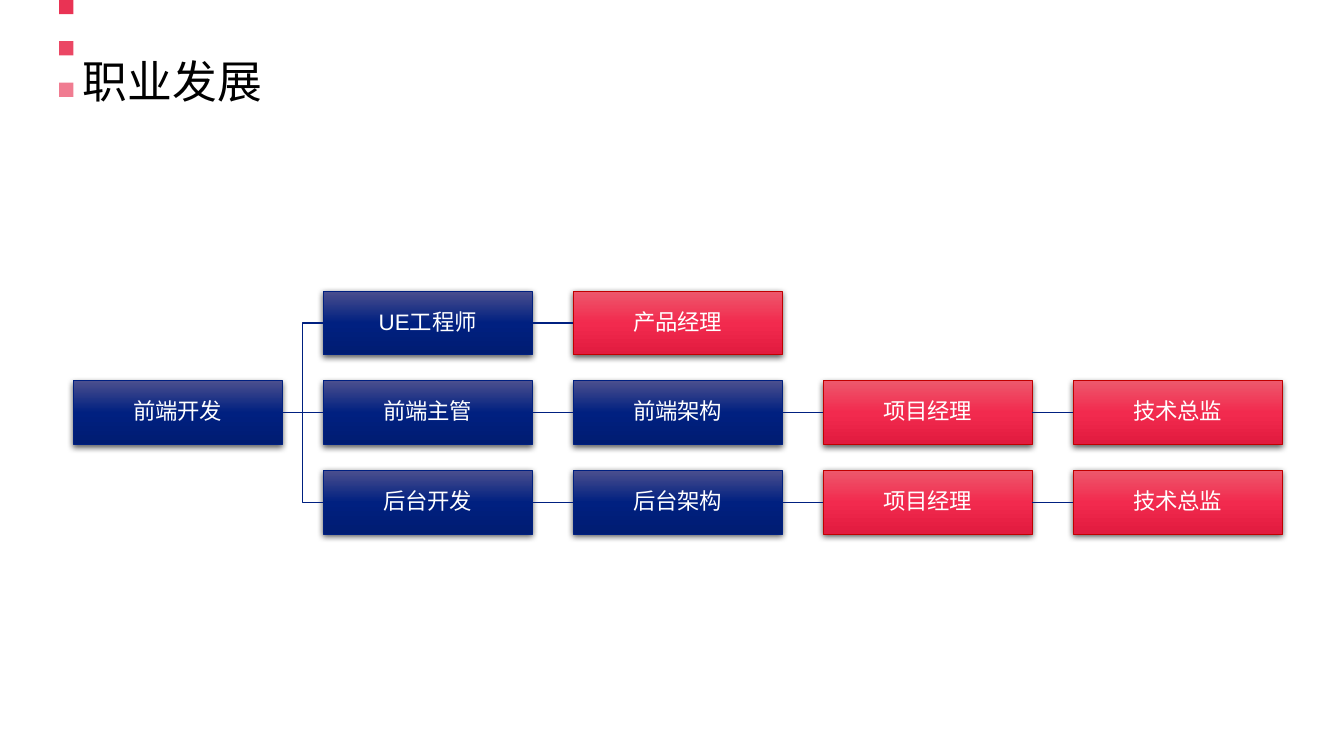
import copy

import pptx
import pptx.dml.color
import pptx.enum.shapes
import pptx.enum.text
import pptx.oxml.ns
import pptx.oxml.xmlchemy
import pptx.util
from lxml import etree

Cm = pptx.util.Cm
Pt = pptx.util.Pt
qn = pptx.oxml.ns.qn
CONNECTOR = pptx.enum.shapes.MSO_CONNECTOR
RECTANGLE = pptx.enum.shapes.MSO_SHAPE.RECTANGLE
ALIGN = pptx.enum.text.PP_ALIGN
ANCHOR = pptx.enum.text.MSO_ANCHOR

COLORS = {
    "mark": "E93354",
    "title": "000000",
    "label": "FFFFFF",
    "shadow": "000000",
    "link": "002080",
    "technical_top": "4B4F8E",
    "technical_middle": "002080",
    "technical_bottom": "001C72",
    "technical_line": "002080",
    "manager_top": "ED586C",
    "manager_middle": "F22A4E",
    "manager_bottom": "E11B3F",
    "manager_line": "C00000",
}

START = "前端开发"
CAREER_PATHS = [
    [("UE工程师", "technical"), ("产品经理", "manager")],
    [("前端主管", "technical"), ("前端架构", "technical"),
     ("项目经理", "manager"), ("技术总监", "manager")],
    [("后台开发", "technical"), ("后台架构", "technical"),
     ("项目经理", "manager"), ("技术总监", "manager")],
]


def color(name):
    return pptx.dml.color.RGBColor.from_string(COLORS[name])


def write_text(frame, text, *, size, color_name, align, anchor, spacing, inset=None):
    frame.word_wrap = True
    frame.auto_size = pptx.enum.text.MSO_AUTO_SIZE.NONE
    frame.vertical_anchor = anchor
    if inset is not None:
        frame.margin_left = frame.margin_right = inset
        frame.margin_top = frame.margin_bottom = inset
    para = frame.paragraphs[0]
    para.alignment = align
    para.line_spacing = spacing
    span = para.add_run()
    span.text = text
    span.font.name = "Arial"
    span.font.size = Pt(size)
    span.font.color.rgb = color(color_name)


def add_marks(page, left, top, size, pitch):
    for index, opacity in enumerate((100, 90, 64)):
        mark = page.shapes.add_shape(RECTANGLE, left, top + index * pitch, size, size)
        mark.shadow.inherit = False
        mark.line.fill.background()
        mark.fill.solid()
        mark.fill.fore_color.rgb = color("mark")
        tone = mark._element.spPr.find(".//" + qn("a:srgbClr"))
        etree.SubElement(tone, qn("a:alpha"), val=str(opacity * 1000))


def add_title(page, left, top, width, height):
    title = page.shapes.title
    title.left, title.top, title.width, title.height = left, top, width, height
    write_text(title.text_frame, "职业发展", size=32, color_name="title",
               align=ALIGN.LEFT, anchor=ANCHOR.BOTTOM, spacing=1.2)


def add_gradient(box, role):
    box.fill.gradient()
    box.fill.gradient_angle = 270
    stops = box._element.spPr.find(".//" + qn("a:gsLst"))
    stops.append(copy.deepcopy(stops[0]))
    for index, (stop, part) in enumerate(zip(box.fill.gradient_stops, ("top", "middle", "bottom"))):
        stop.position = index / 2
        stop.color.rgb = color(f"{role}_{part}")


def add_shadow(box):
    box.shadow.inherit = False
    effects = box._element.spPr.find(qn("a:effectLst"))
    shadow = etree.SubElement(effects, qn("a:outerShdw"), blurRad=str(Pt(4.5)),
                              dist=str(Pt(1.5)), dir="5400000", algn="ctr", rotWithShape="0")
    tone = etree.SubElement(shadow, qn("a:srgbClr"), val=COLORS["shadow"])
    etree.SubElement(tone, qn("a:alpha"), val="63000")


def add_position(page, text, role, left, top, width, height):
    box = page.shapes.add_shape(RECTANGLE, left, top, width, height)
    add_gradient(box, role)
    box.line.color.rgb = color(f"{role}_line")
    box.line.width = Pt(0.75)
    add_shadow(box)
    write_text(box.text_frame, text, size=16, color_name="label", align=ALIGN.CENTER,
               anchor=ANCHOR.MIDDLE, spacing=0.9, inset=Cm(0.03))
    return box


def add_link(page, before, after):
    kind = CONNECTOR.STRAIGHT if before.top == after.top else CONNECTOR.ELBOW
    link = page.shapes.add_connector(kind, 0, 0, 0, 0)
    link.begin_connect(before, 3)
    link.end_connect(after, 1)
    link.line.color.rgb = color("link")
    link.line.width = Pt(1)
    etree.SubElement(link._element.spPr, qn("a:effectLst"))


def add_career_tree(page, left, top, width, height):
    box_width, box_height = Cm(5.26), Cm(1.6)
    column_pitch = (width - box_width) // 4
    row_pitch = (height - box_height) // 2
    start = add_position(page, START, "technical", left, top + row_pitch, box_width, box_height)
    for row, career_path in enumerate(CAREER_PATHS):
        before = start
        for column, (text, role) in enumerate(career_path, 1):
            after = add_position(page, text, role, left + column * column_pitch,
                                 top + row * row_pitch, box_width, box_height)
            add_link(page, before, after)
            before = after


def main():
    deck = pptx.Presentation()
    deck.slide_width, deck.slide_height = Cm(33.87), Cm(19.05)
    page = deck.slides.add_slide(deck.slide_layouts[5])
    add_marks(page, Cm(1.49), Cm(0), Cm(0.36), Cm(1.04))
    add_title(page, Cm(1.83), Cm(0), Cm(30.18), Cm(2.84))
    add_career_tree(page, Cm(1.85), Cm(7.34), Cm(30.46), Cm(6.12))
    deck.save("out.pptx")


if __name__ == "__main__":
    main()
